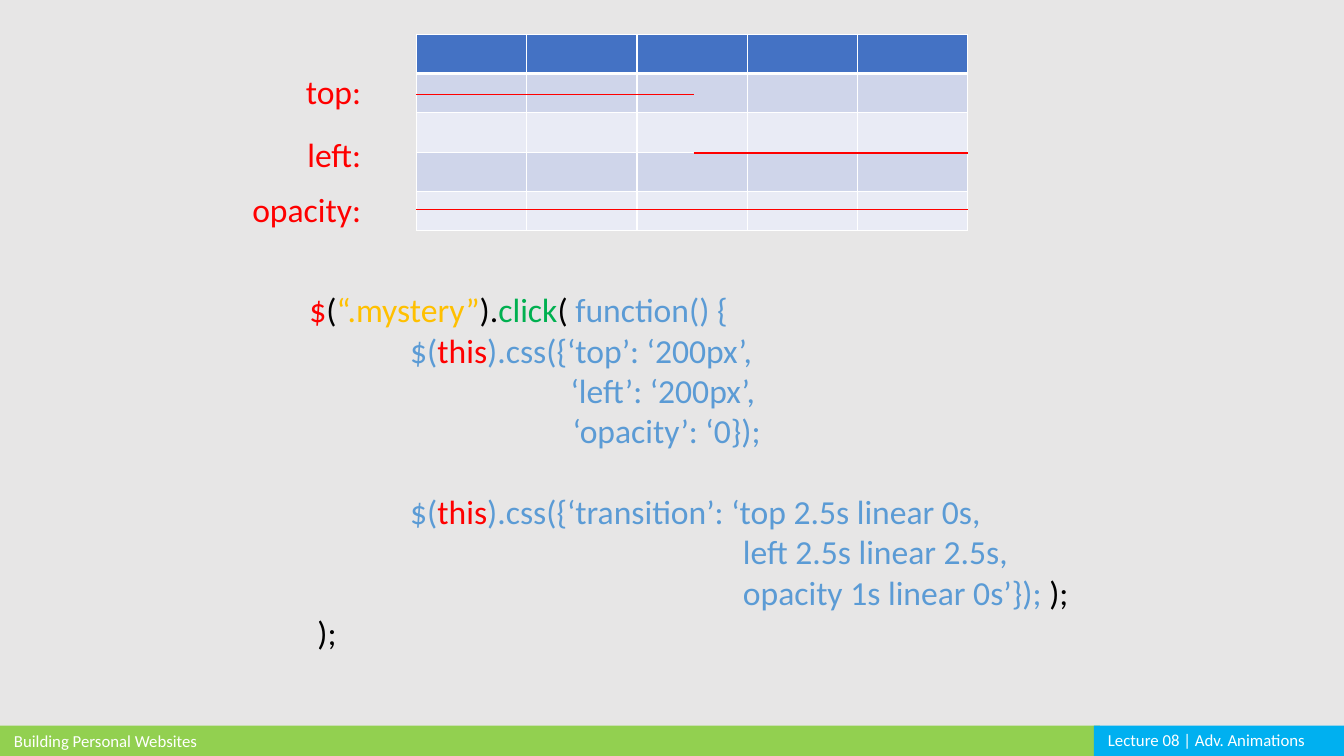
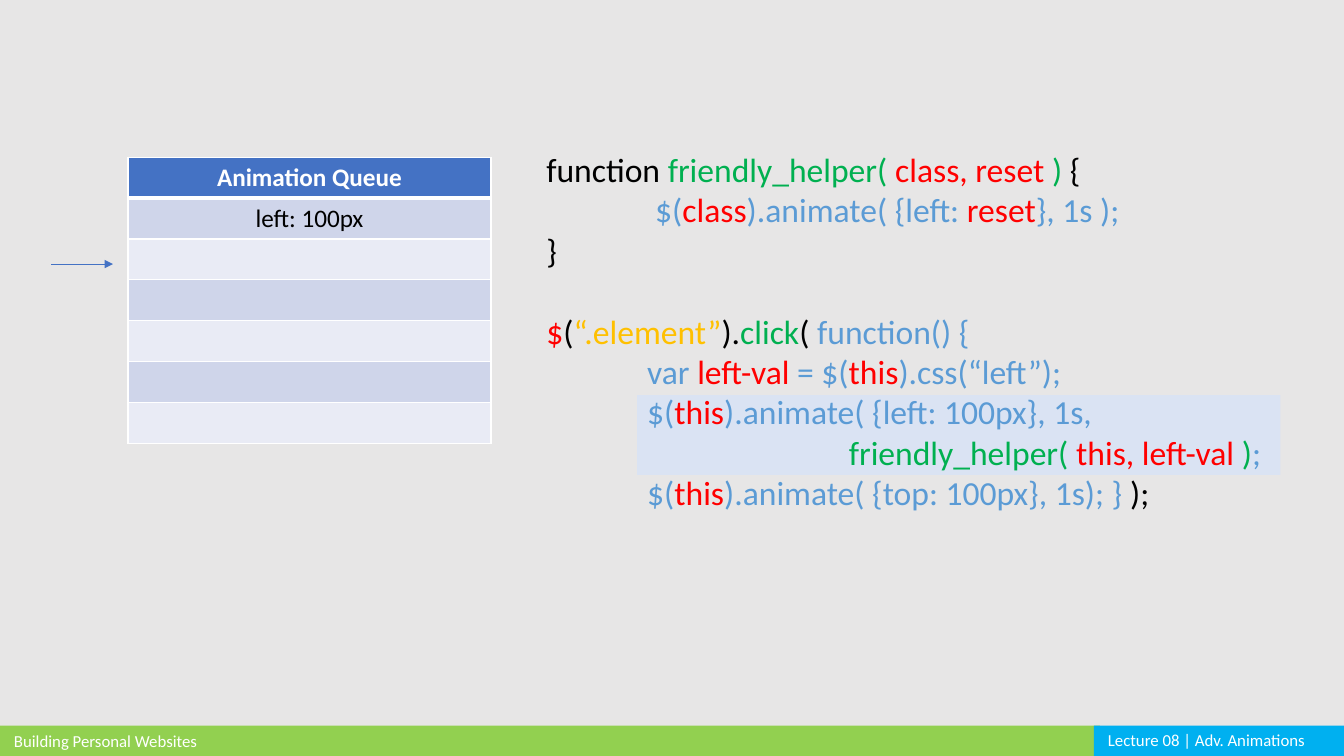
from pptx import Presentation
from pptx import util as u
from pptx.dml.color import RGBColor
from pptx.enum import shapes, text
from pptx.oxml.ns import qn
from lxml import etree

BLACK, WHITE, RED, GREEN = "000000", "FFFFFF", "FF0000", "00B050"
GOLD, CODE, BLUE = "FFC000", "5B9BD5", "4472C4"
PAGE, LIME, SKY, HIGHLIGHT = "E7E6E6", "92D050", "00B0F0", "DAE3F3"
BANDS = "CFD5EA", "E9EBF5"
THIS = ("this", RED)


def rgb(color):
    return RGBColor.from_string(color)


class Deck:
    font = "Calibri"
    code_size = 24
    blank_line = 29

    def __init__(self):
        self.prs = Presentation()
        self.prs.slide_width, self.prs.slide_height = u.Inches(13.33), u.Inches(7.5)
        fill = self.prs.slide_master.background.fill
        fill.solid()
        fill.fore_color.rgb = rgb(PAGE)

    def add_slide(self):
        self.s = self.prs.slides.add_slide(self.prs.slide_layouts[6])
        self.rect(0, 7.2, 10.91, 0.3, LIME)
        self.rect(10.85, 7.2, 2.48, 0.3, SKY)
        self.label("Building Personal Websites", 0.04, 7.2, 2.93, 0.3, 12, WHITE)
        self.label("Lecture 08 | Adv. Animations", 10.89, 7.19, 2.44, 0.3, 12, WHITE)

    def rect(self, x, y, w, h, color):
        sp = self.s.shapes.add_shape(shapes.MSO_SHAPE.RECTANGLE, *map(u.Inches, (x, y, w, h)))
        sp.shadow.inherit = False
        sp.fill.solid()
        sp.fill.fore_color.rgb = rgb(color)
        sp.line.fill.background()

    def run(self, p, words, size, color, bold=False):
        r = p.add_run()
        r.text = words
        r.font.name, r.font.size, r.font.bold = self.font, u.Pt(size), bold
        r.font.color.rgb = rgb(color)

    def text_frame(self, x, y, w, h):
        tf = self.s.shapes.add_textbox(*map(u.Inches, (x, y, w, h))).text_frame
        tf.word_wrap = True
        return tf

    def label(self, words, x, y, w, h, size, color, align=text.PP_ALIGN.LEFT):
        p = self.text_frame(x, y, w, h).paragraphs[0]
        p.alignment = align
        self.run(p, words, size, color)

    def code(self, x, y, w, h, lines):
        """Each line is (indent in inches, blank lines before it, runs)."""
        tf = self.text_frame(x, y, w, h)
        for i, (indent, gap, runs) in enumerate(lines):
            p = tf.add_paragraph() if i else tf.paragraphs[0]
            p.space_before = u.Pt(gap * self.blank_line)
            pPr = p._p.get_or_add_pPr()
            pPr.set("marL", str(u.Inches(indent)))
            pPr.set("indent", "0")
            for words, color in runs:
                self.run(p, words, self.code_size, color)

    def line(self, x1, y1, x2, y2, color, width, arrow=False):
        c = self.s.shapes.add_connector(shapes.MSO_CONNECTOR.STRAIGHT,
                                        *map(u.Inches, (x1, y1, x2, y2)))
        c.line.color.rgb = rgb(color)
        c.line.width = u.Pt(width)
        if arrow:
            etree.SubElement(c.line._get_or_add_ln(), qn("a:tailEnd"), type="triangle")
        etree.SubElement(c._element.spPr, qn("a:effectLst"))

    def border(self, cell, side, width):
        ln = etree.SubElement(cell._tc.get_or_add_tcPr(), qn("a:ln" + side),
                              w=str(u.Pt(width)))
        fill = etree.SubElement(ln, qn("a:solidFill"))
        etree.SubElement(fill, qn("a:srgbClr"), val=WHITE)

    def table(self, x, y, w, h, rows, cols, words=()):
        """A header row over banded rows; words fill the first column."""
        tbl = self.s.shapes.add_table(rows, cols, *map(u.Inches, (x, y, w, h))).table
        tbl.first_row = tbl.horz_banding = False
        for i in range(rows):
            for j in range(cols):
                cell = tbl.cell(i, j)
                cell.margin_top = cell.margin_bottom = 0
                cell.vertical_anchor = text.MSO_ANCHOR.MIDDLE
                for side in "LRTB":
                    under_header = (i, side) in ((0, "B"), (1, "T"))
                    self.border(cell, side, 3 if under_header else 1)
                cell.fill.solid()
                cell.fill.fore_color.rgb = rgb(BANDS[(i - 1) % 2] if i else BLUE)
        for i, entry in enumerate(words):
            p = tbl.cell(i, 0).text_frame.paragraphs[0]
            p.alignment = text.PP_ALIGN.CENTER
            self.run(p, entry, 18, BLACK if i else WHITE, bold=i == 0)


def click_handler(selector):
    return [("$", RED), ("(", BLACK), (f"“{selector}”", GOLD), (").", BLACK),
            ("click", GREEN), ("( ", BLACK), ("function() {", CODE)]


def on_this(call):
    return [("$(", CODE), THIS, (")" + call, CODE)]


def transition_slide(deck):
    deck.add_slide()
    deck.code(2.97, 2.82, 8.68, 3.74, [
        (0, 0, click_handler(".mystery")),
        (1, 0, on_this(".css({‘top’: ‘200px’,")),
        (2.59, 0, [("‘left’: ‘200px’,", CODE)]),
        (2.61, 0, [("‘opacity’: ‘0});", CODE)]),
        (1, 1, on_this(".css({‘transition’: ‘top 2.5s linear 0s,")),
        (4.3, 0, [("left 2.5s linear 2.5s,", CODE)]),
        (4.3, 0, [("opacity 1s linear 0s’}); ", CODE), (");", BLACK)]),
        (0.08, 0, [(");", BLACK)]),
    ])
    left, middle, right = 4.13, 6.88, 9.6
    deck.table(left, 0.34, right - left, 1.95, rows=5, cols=5)
    for name, label_y, line_y, start, end in (
            ("top:", 0.65, 0.94, left, middle),
            ("left:", 1.28, 1.52, middle, right),
            ("opacity:", 1.83, 2.08, left, right)):
        deck.label(name, 2.3, label_y, 1.38, 0.5, 24, RED, text.PP_ALIGN.RIGHT)
        deck.line(start, line_y, end, line_y, RED, 1)


def queue_slide(deck):
    deck.add_slide()
    deck.rect(6.32, 3.92, 6.38, 0.79, HIGHLIGHT)
    deck.code(5.32, 1.43, 7.38, 3.74, [
        (0, 0, [("function ", BLACK), ("friendly_helper( ", GREEN),
                ("class, reset ", RED), (")", GREEN), (" {", BLACK)]),
        (1.08, 0, [("$(", CODE), ("class", RED), (").animate( {left: ", CODE),
                   ("reset", RED), ("}, 1s );", CODE)]),
        (0, 0, [("}", BLACK)]),
        (0, 1, click_handler(".element")),
        (1, 0, [("var", CODE), (" left-val ", RED), ("= ", CODE)]
         + on_this(".css(“left”);")),
        (1, 0, on_this(".animate( {left: 100px}, 1s,")),
        (3, 0, [("friendly_helper( ", GREEN), ("this, left-val ", RED),
                (")", GREEN), (";", CODE)]),
        (1, 0, on_this(".animate( {top: 100px}, 1s); } ") + [(");", BLACK)]),
    ])
    deck.table(1.27, 1.56, 3.6, 2.84, rows=7, cols=1,
               words=("Animation Queue", "left: 100px"))
    deck.line(0.51, 2.62, 1.12, 2.62, BLUE, 0.5, arrow=True)


def main():
    deck = Deck()
    transition_slide(deck)
    queue_slide(deck)
    deck.prs.save("out.pptx")


if __name__ == "__main__":
    main()
